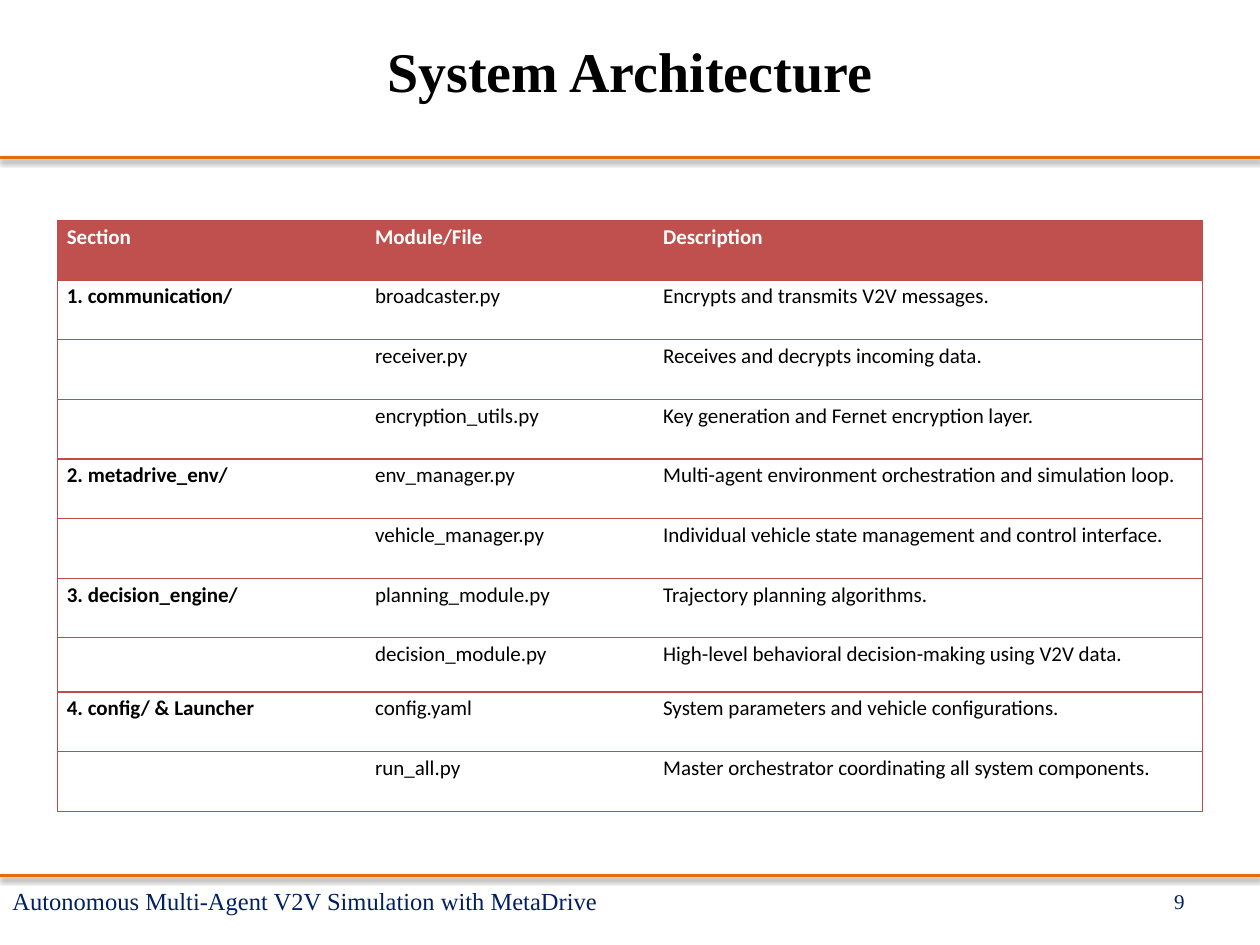
from lxml.etree import SubElement
from pptx import Presentation
from pptx.dml.color import RGBColor
from pptx.enum.shapes import MSO_CONNECTOR
from pptx.enum.text import MSO_ANCHOR as Anchor, MSO_AUTO_SIZE as AutoSize, PP_ALIGN as Align
from pptx.oxml import parse_xml
from pptx.oxml.ns import nsdecls, qn
from pptx.util import Pt

BLACK = RGBColor(0x00, 0x00, 0x00)
WHITE = RGBColor(0xFF, 0xFF, 0xFF)
NAVY = RGBColor(0x00, 0x20, 0x60)
ORANGE = RGBColor(0xE4, 0x6C, 0x0A)
HEADER_RED = RGBColor(0xC0, 0x50, 0x4D)
BORDER_RED = RGBColor(0xBF, 0x4C, 0x48)
SERIF = "Times New Roman"
SANS = "Calibri"

SLIDE_WIDTH = 720
COLUMN_WIDTHS = [176.2, 164.6, 313.7]
ROW_HEIGHT = 34.1
SHORT_ROW, SHORT_ROW_HEIGHT = 7, 30.9
ROWS = [
    ("Section", "Module/File", "Description"),
    ("1. communication/", "broadcaster.py", "Encrypts and transmits V2V messages."),
    ("", "receiver.py", "Receives and decrypts incoming data."),
    ("", "encryption_utils.py", "Key generation and Fernet encryption layer."),
    ("2. metadrive_env/", "env_manager.py",
     "Multi-agent environment orchestration and simulation loop."),
    ("", "vehicle_manager.py", "Individual vehicle state management and control interface."),
    ("3. decision_engine/", "planning_module.py", "Trajectory planning algorithms."),
    ("", "decision_module.py", "High-level behavioral decision-making using V2V data."),
    ("4. config/ & Launcher", "config.yaml", "System parameters and vehicle configurations."),
    ("", "run_all.py", "Master orchestrator coordinating all system components."),
]


def write_text(frame, text, font=SERIF, size=12, color=BLACK, bold=False,
               align=Align.LEFT, line_spacing=None, space_after=None):
    """Write one formatted paragraph into a text frame."""
    paragraph = frame.paragraphs[0]
    paragraph.alignment = align
    if line_spacing:
        paragraph.line_spacing = line_spacing
    if space_after:
        paragraph.space_after = Pt(space_after)
    run = paragraph.add_run()
    run.text = text
    run.font.name = font
    run.font.size = Pt(size)
    run.font.bold = bold
    run.font.color.rgb = color


def add_title(slide, text):
    """Fill the title placeholder, leaving room below the text."""
    title = slide.shapes.title
    title.left, title.top, title.width, title.height = Pt(0), Pt(0), Pt(SLIDE_WIDTH), Pt(116)
    frame = title.text_frame
    frame.word_wrap = True
    frame.auto_size = AutoSize.NONE
    frame.vertical_anchor = Anchor.MIDDLE
    frame.margin_bottom = Pt(40)
    write_text(frame, text, size=32, bold=True, align=Align.CENTER)


def add_rule(slide, top):
    """Draw a full-width orange line with a soft shadow."""
    rule = slide.shapes.add_connector(
        MSO_CONNECTOR.STRAIGHT, Pt(0), Pt(top), Pt(SLIDE_WIDTH), Pt(top))
    rule.line.color.rgb = ORANGE
    rule.line.width = Pt(2)
    rule._element.spPr.append(parse_xml(
        f'<a:effectLst {nsdecls("a")}>'
        f'<a:outerShdw blurRad="{Pt(3.1)}" dist="{Pt(1.6)}" dir="5400000" rotWithShape="0">'
        '<a:srgbClr val="000000"><a:alpha val="38000"/></a:srgbClr>'
        '</a:outerShdw></a:effectLst>'))


def add_footer_text(slide, text, left, width, **text_format):
    """Add a text box in the footer band."""
    box = slide.shapes.add_textbox(Pt(left), Pt(500.4), Pt(width), Pt(28.8))
    frame = box.text_frame
    frame.word_wrap = True
    frame.vertical_anchor = Anchor.MIDDLE
    write_text(frame, text, color=NAVY, **text_format)


def set_borders(cell, visible_sides):
    """Draw the visible sides of a cell in red and hide the others."""
    properties = cell._tc.get_or_add_tcPr()
    for side in "LRTB":
        line = SubElement(properties, qn(f"a:ln{side}"), w=str(Pt(0.75)))
        if side in visible_sides:
            fill = SubElement(line, qn("a:solidFill"))
            SubElement(fill, qn("a:srgbClr"), val=str(BORDER_RED))
        else:
            SubElement(line, qn("a:noFill"))


def format_cell(cell, text, is_header, is_first, is_last):
    """Set the borders, fill, margins and text of one table cell."""
    set_borders(cell, "TB" + "L" * is_first + "R" * is_last)
    if is_header:
        cell.fill.solid()
        cell.fill.fore_color.rgb = HEADER_RED
    else:
        cell.fill.background()
    cell.margin_left = cell.margin_right = Pt(5.4)
    cell.margin_top = cell.margin_bottom = Pt(0)
    if text:
        write_text(cell.text_frame, text, font=SANS, color=WHITE if is_header else BLACK,
                   bold=is_header or is_first, line_spacing=1.15, space_after=8)


def add_module_table(slide):
    """Add the table of modules and their descriptions."""
    heights = [ROW_HEIGHT] * len(ROWS)
    heights[SHORT_ROW] = SHORT_ROW_HEIGHT
    table = slide.shapes.add_table(
        len(ROWS), len(COLUMN_WIDTHS), Pt(32.8), Pt(126),
        Pt(sum(COLUMN_WIDTHS)), Pt(sum(heights))).table
    table.horz_banding = False
    for column, width in zip(table.columns, COLUMN_WIDTHS):
        column.width = Pt(width)
    for row_index, (height, texts) in enumerate(zip(heights, ROWS)):
        table.rows[row_index].height = Pt(height)
        for column_index, text in enumerate(texts):
            format_cell(table.cell(row_index, column_index), text, row_index == 0,
                        column_index == 0, column_index == len(texts) - 1)


def main():
    """Build the slide and save it."""
    presentation = Presentation()
    presentation.slide_width, presentation.slide_height = Pt(SLIDE_WIDTH), Pt(540)
    slide = presentation.slides.add_slide(presentation.slide_layouts[5])
    add_title(slide, "System Architecture")
    for top in (90, 500.4):
        add_rule(slide, top)
    add_footer_text(slide, "9", 516.2, 167.8, align=Align.RIGHT)
    add_footer_text(slide, "Autonomous Multi-Agent V2V Simulation with MetaDrive", 0, 473.8, size=14)
    add_module_table(slide)
    presentation.save("out.pptx")


if __name__ == "__main__":
    main()
